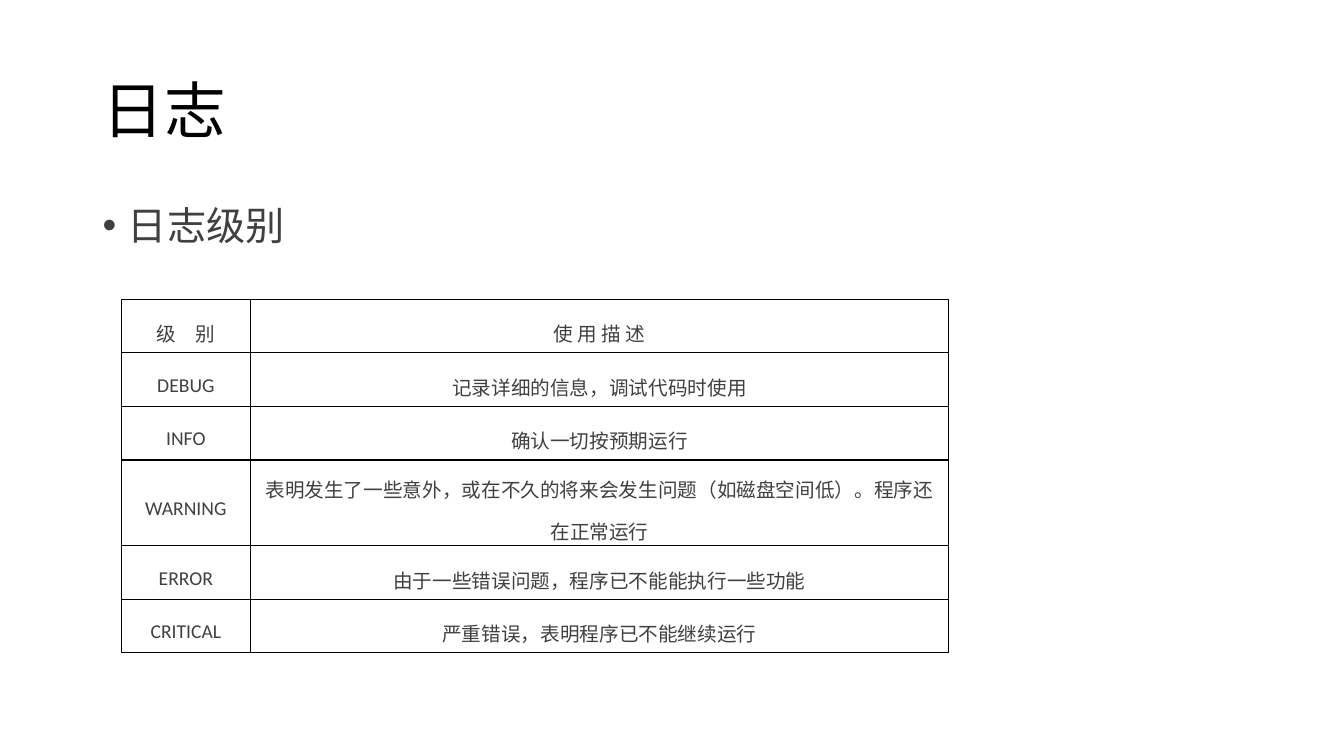
from dataclasses import dataclass

from lxml import etree
from pptx import Presentation
from pptx.dml.color import RGBColor
from pptx.enum.text import MSO_ANCHOR, MSO_AUTO_SIZE, PP_ALIGN
from pptx.oxml.ns import qn
from pptx.util import Cm, Pt

TOP, MIDDLE = MSO_ANCHOR.TOP, MSO_ANCHOR.MIDDLE
LEFT, CENTER = PP_ALIGN.LEFT, PP_ALIGN.CENTER
NO_AUTOFIT = MSO_AUTO_SIZE.NONE
TITLE_AND_CONTENT = 1


@dataclass(frozen=True)
class Theme:
    font: str = "Calibri"
    title_color: str = "000000"
    text_color: str = "404040"
    border_color: str = "000000"
    title_size: int = 44
    body_size: int = 28
    table_size: int = 14
    border_width: int = 1


LEVELS = [
    ("级　别", "使 用 描 述"),
    ("DEBUG", "记录详细的信息，调试代码时使用"),
    ("INFO", "确认一切按预期运行"),
    ("WARNING", "表明发生了一些意外，或在不久的将来会发生问题（如磁盘空间低）。程序还在正常运行"),
    ("ERROR", "由于一些错误问题，程序已不能能执行一些功能"),
    ("CRITICAL", "严重错误，表明程序已不能继续运行"),
]
COL_WIDTHS = (3.25, 17.6)
ROW_HEIGHT, WARNING_HEIGHT = 1.35, 1.52


def set_attrs(obj, values):
    for name, value in values.items():
        setattr(obj, name, value)


class SlideBuilder:
    def __init__(self, slide, theme):
        self.s = slide
        self.theme = theme

    def style_text(self, p, text, size, color, **layout):
        p.text = text
        set_attrs(p, {"space_before": Pt(0), **layout})
        set_attrs(p.runs[0].font,
                  {"name": self.theme.font, "size": Pt(size), "bold": False})
        p.runs[0].font.color.rgb = RGBColor.from_string(color)

    def place(self, sp, left, top, width, height, anchor):
        set_attrs(sp, {"left": Cm(left), "top": Cm(top),
                       "width": Cm(width), "height": Cm(height)})
        tf = sp.text_frame
        set_attrs(tf, {"word_wrap": True, "auto_size": NO_AUTOFIT,
                       "vertical_anchor": anchor})
        return tf.paragraphs[0]

    def title(self, text, *box):
        p = self.place(self.s.shapes.title, *box, MIDDLE)
        self.style_text(p, text, self.theme.title_size, self.theme.title_color,
                        alignment=LEFT, line_spacing=0.9)

    def bullet(self, text, *box):
        p = self.place(self.s.placeholders[1], *box, TOP)
        pPr = p._p.get_or_add_pPr()
        pPr.set("marL", str(Cm(0.64)))
        pPr.set("indent", str(-Cm(0.64)))
        etree.SubElement(pPr, qn("a:buFont"), typeface="Arial")
        etree.SubElement(pPr, qn("a:buChar"), char="•")
        self.style_text(p, text, self.theme.body_size, self.theme.text_color,
                        alignment=LEFT, line_spacing=0.9)

    def border(self, cell):
        tcPr = cell._tc.get_or_add_tcPr()
        for i, side in enumerate(("lnL", "lnR", "lnT", "lnB")):
            ln = etree.Element(qn(f"a:{side}"), w=str(Pt(self.theme.border_width)))
            fill = etree.SubElement(ln, qn("a:solidFill"))
            etree.SubElement(fill, qn("a:srgbClr"), val=self.theme.border_color)
            tcPr.insert(i, ln)

    def table(self, rows, left, top, col_widths, row_heights):
        frame = self.s.shapes.add_table(
            len(rows), len(col_widths), Cm(left), Cm(top),
            Cm(sum(col_widths)), Cm(sum(row_heights)))
        table = frame.table
        set_attrs(table, {"first_row": False, "horz_banding": False})
        for col, width in zip(table.columns, col_widths):
            col.width = Cm(width)
        for row, height, texts in zip(table.rows, row_heights, rows):
            row.height = Cm(height)
            for cell, text in zip(row.cells, texts):
                set_attrs(cell, {"margin_left": Cm(0.19), "margin_right": Cm(0.19),
                                 "margin_top": 0, "margin_bottom": 0,
                                 "vertical_anchor": MIDDLE})
                cell.fill.background()
                self.border(cell)
                self.style_text(cell.text_frame.paragraphs[0], text,
                                self.theme.table_size, self.theme.text_color,
                                alignment=CENTER, line_spacing=1.5)


def main():
    prs = Presentation()
    set_attrs(prs, {"slide_width": Cm(33.87), "slide_height": Cm(19.05)})
    slide = prs.slides.add_slide(prs.slide_layouts[TITLE_AND_CONTENT])
    builder = SlideBuilder(slide, Theme())

    # Heading and list
    builder.title("日志", 2.33, 1.01, 29.21, 3.68)
    builder.bullet("日志级别", 2.33, 5.07, 29.21, 12.09)

    # Log level table
    heights = [WARNING_HEIGHT if level == "WARNING" else ROW_HEIGHT
               for level, _ in LEVELS]
    builder.table(LEVELS, 3.06, 7.54, COL_WIDTHS, heights)

    prs.save("out.pptx")


if __name__ == "__main__":
    main()
